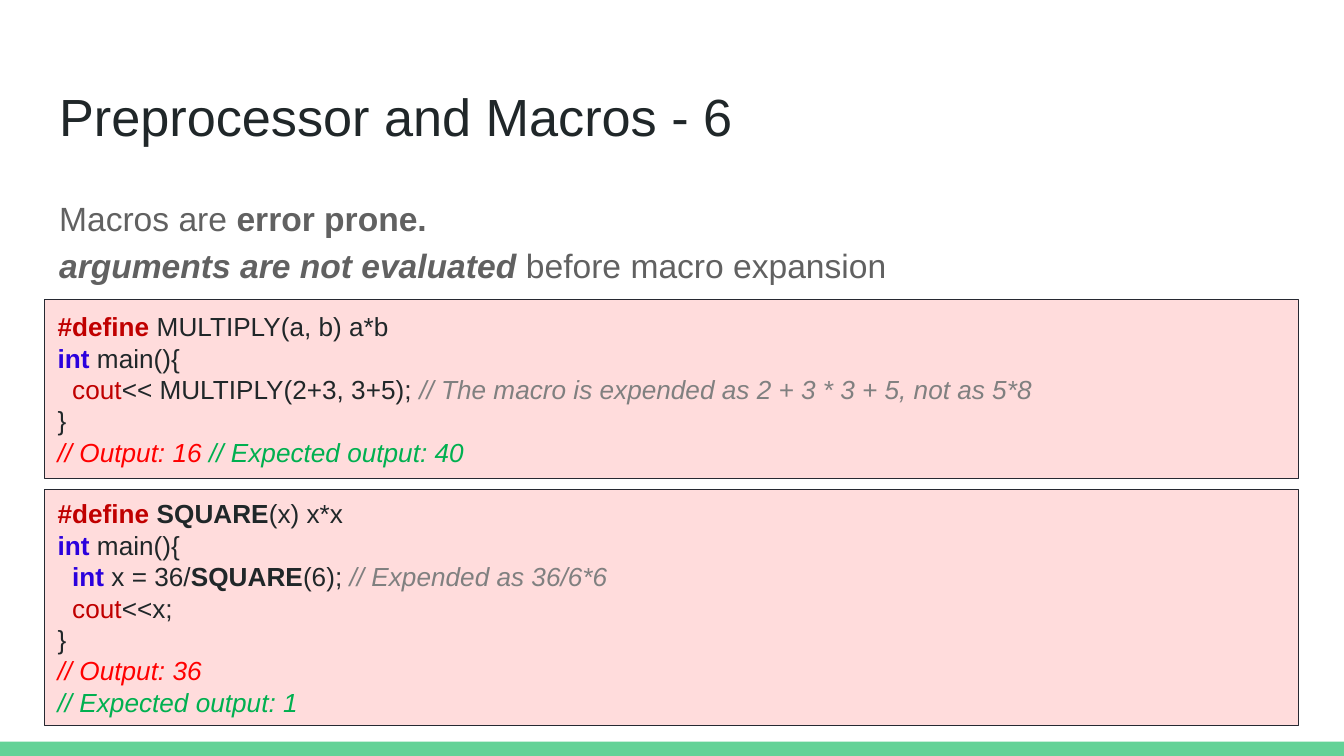
from typing import NamedTuple

from pptx import Presentation
from pptx.dml.color import RGBColor as Rgb
from pptx.enum.shapes import MSO_SHAPE as Kind
from pptx.enum.text import MSO_ANCHOR as Anchor, PP_ALIGN as Align
from pptx.oxml.xmlchemy import OxmlElement as Node
from pptx.util import Pt

COLORS = {
    "green": "63D297", "pink": "FFDCDC", "edge": "272932",
    "dark": "202729", "gray": "616161", "define": "C00000",
    "type": "2B01DD", "note": "808080", "wrong": "FF0000", "right": "00B050",
}
FONT = "Arial"
INSET = 7.2
STEP = 7.8  # indent of one code level


class Run(NamedTuple):
    text: str
    color: str = "dark"
    bold: bool = False
    italic: bool = False


class Line(NamedTuple):
    runs: list[Run]
    level: int = 0


class Panel(NamedTuple):
    top: float
    height: float
    lines: list[Line]


def tint(name: str) -> Rgb:
    return Rgb.from_string(COLORS[name])


def write(frame, lines: list[Line], size: float, space: float = 1) -> None:
    """Fill a text frame with left-aligned, bullet-free lines."""
    frame.word_wrap = True
    for i, line in enumerate(lines):
        para = frame.add_paragraph() if i else frame.paragraphs[0]
        para.alignment = Align.LEFT
        para.line_spacing = space
        para.space_before = para.space_after = Pt(0)
        props = para._p.get_or_add_pPr()
        props.set("marL", str(Pt(STEP * line.level)))
        props.set("indent", "0")
        props.append(Node("a:buNone"))
        for part in line.runs:
            run = para.add_run()
            run.text = part.text
            font = run.font
            font.name, font.size = FONT, Pt(size)
            font.bold, font.italic = part.bold, part.italic
            font.color.rgb = tint(part.color)


def place(shape, left: float, top: float, width: float, height: float) -> None:
    shape.left, shape.top = Pt(left), Pt(top)
    shape.width, shape.height = Pt(width), Pt(height)


def pad(frame, top: float = INSET) -> None:
    frame.vertical_anchor = Anchor.TOP
    frame.margin_left = frame.margin_right = frame.margin_bottom = Pt(INSET)
    frame.margin_top = Pt(top)


def block(slide, left: float, top: float, width: float, height: float, fill: str):
    shape = slide.shapes.add_shape(
        Kind.RECTANGLE, Pt(left), Pt(top), Pt(width), Pt(height))
    shape.shadow.inherit = False
    shape.fill.solid()
    shape.fill.fore_color.rgb = tint(fill)
    shape.line.fill.background()
    return shape


def draw(slide, panel: Panel) -> None:
    box = block(slide, 23.8, panel.top, 672, panel.height, "pink")
    box.line.color.rgb = tint("edge")
    box.line.width = Pt(0)
    box.text_frame.vertical_anchor = Anchor.MIDDLE
    write(box.text_frame, panel.lines, 14)


# Code shared by both panels
DEFINE = Run("#define ", "define", bold=True)
INT = Run("int", "type", bold=True)
COUT = Run("cout", "define")
SQUARE = Run("SQUARE", bold=True)
MAIN = Line([INT, Run(" main(){")])
CLOSE = Line([Run("}")])

PANELS = [
    Panel(160.4, 96, [
        Line([DEFINE, Run("MULTIPLY(a, b) a*b")]),
        MAIN,
        Line([COUT, Run("<< MULTIPLY(2+3, 3+5); "),
              Run("// The macro is expended as 2 + 3 * 3 + 5, not as 5*8",
                  "note", italic=True)], 1),
        CLOSE,
        Line([Run("// Output: 16 ", "wrong", italic=True),
              Run("// Expected output: 40", "right", italic=True)]),
    ]),
    Panel(262.4, 126.2, [
        Line([DEFINE, SQUARE, Run("(x) x*x")]),
        MAIN,
        Line([INT, Run(" x = 36/"), SQUARE, Run("(6); "),
              Run("// Expended as 36/6*6", "note", italic=True)], 1),
        Line([COUT, Run("<<x;")], 1),
        CLOSE,
        Line([Run("// Output: 36", "wrong", italic=True)]),
        Line([Run("// Expected output: 1", "right", italic=True)]),
    ]),
]

BODY = [
    Line([Run("Macros are ", "gray"), Run("error prone.", "gray", bold=True)]),
    Line([Run("arguments are not evaluated", "gray", bold=True, italic=True),
          Run(" before macro expansion", "gray")]),
]


def main() -> None:
    deck = Presentation()
    deck.slide_width, deck.slide_height = Pt(720), Pt(405)
    slide = deck.slides.add_slide(deck.slide_layouts[1])

    # Title and body
    title, body = slide.placeholders
    place(title, 24.5, 35.2, 671, 45.2)
    pad(title.text_frame, 10)
    write(title.text_frame, [Line([Run("Preprocessor and Macros - 6")])], 28)
    place(body, 24.5, 95.8, 671, 269.2)
    pad(body.text_frame)
    write(body.text_frame, BODY, 18, 1.15)

    # Bottom bar and code panels
    block(slide, 0, 397.3, 720, 7.7, "green")
    for panel in PANELS:
        draw(slide, panel)

    deck.save("out.pptx")


if __name__ == "__main__":
    main()
